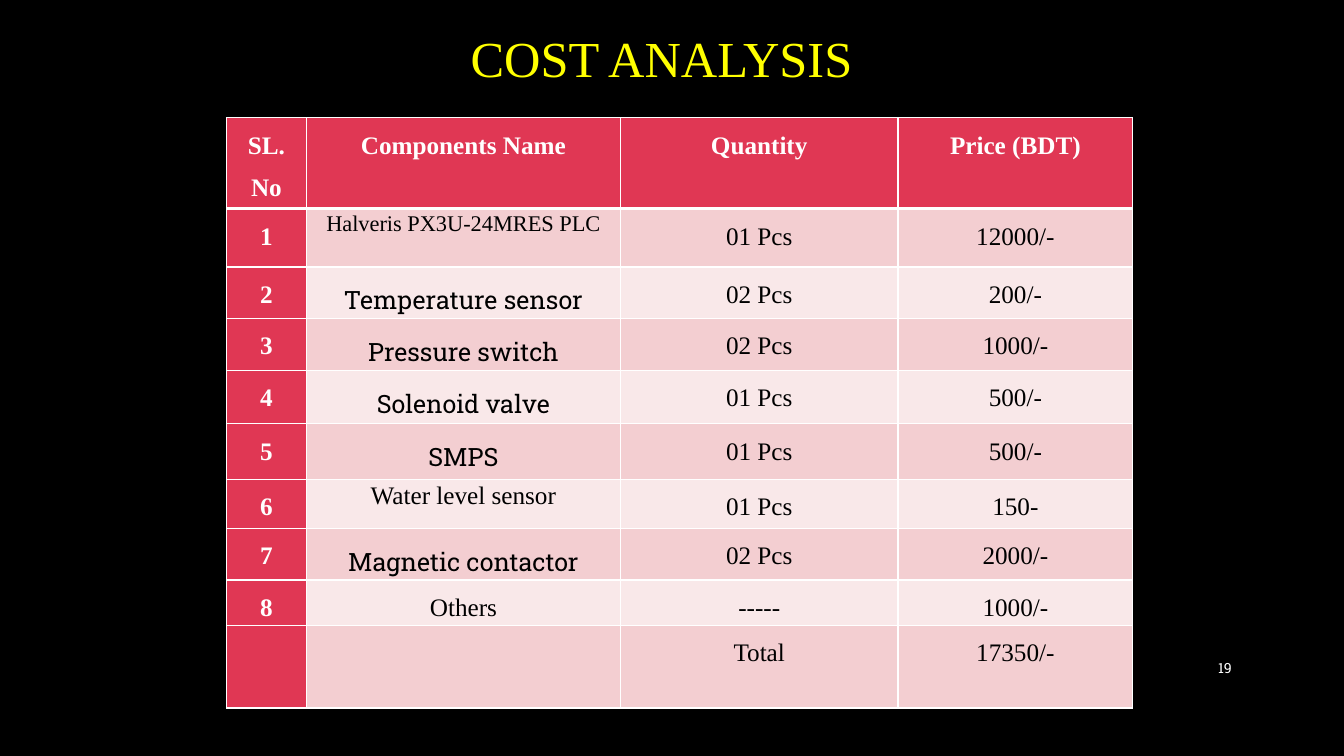
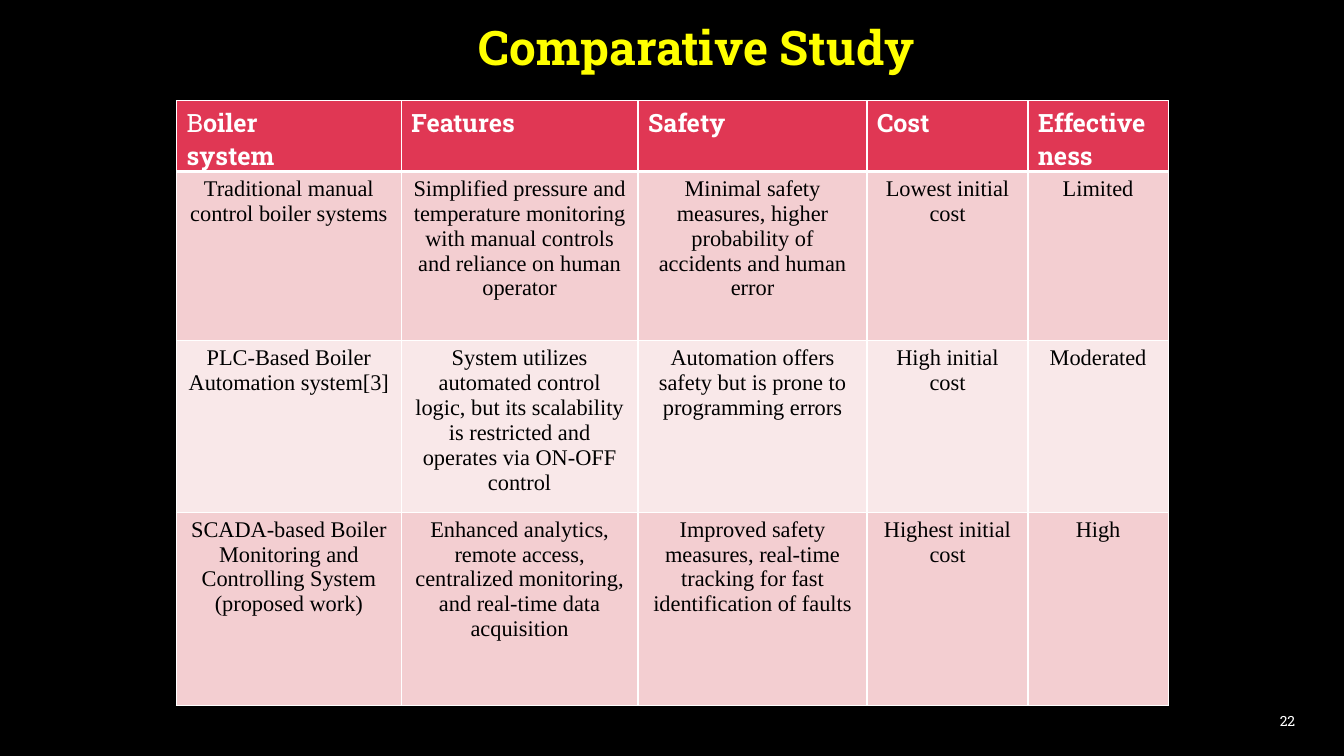
from dataclasses import dataclass
from typing import Any

import pptx
import pptx.dml.color
import pptx.enum.text
import pptx.oxml.ns
import pptx.util
from lxml import etree

Cm, Pt = pptx.util.Cm, pptx.util.Pt
ALIGN = pptx.enum.text.PP_ALIGN
MIDDLE = pptx.enum.text.MSO_ANCHOR.MIDDLE

# Shared colours and fonts
BLACK, WHITE, GOLD = "000000", "FFFFFF", "FFFF00"
RED, ROSE, BLUSH = "E03754", "F3CED1", "F9E8E9"
SERIF, SLAB = "Times New Roman", "Roboto Slab"


@dataclass(frozen=True)
class Look:
    """Format values of a text: font, paragraph and cell margins."""
    hue: str
    font: dict[str, Any]
    para: dict[str, Any]
    pad: dict[str, Any]


@dataclass(frozen=True)
class Cell:
    text: str
    look: Look
    light: str = ""


@dataclass(frozen=True)
class Box:
    text: str
    look: Look
    at: tuple[float, float, float, float]


@dataclass(frozen=True)
class Grid:
    left: float
    top: float
    cols: list[float]
    rows: list[float]
    cells: list[list[Cell]]
    side: bool = False


def look(hue: str, name: str, size: int, bold: bool = False,
         align: Any = ALIGN.CENTER, space: float = 1.0,
         pad: tuple[float, float] | None = None) -> Look:
    edges = {}
    if pad:
        edges = {"margin_left": Cm(pad[0]), "margin_right": Cm(pad[0]),
                 "margin_top": Cm(pad[1]), "margin_bottom": Cm(0)}
    return Look(hue, {"name": name, "size": Pt(size), "bold": bold},
                {"alignment": align, "line_spacing": space}, edges)


# Text styles
TIGHT, LOOSE = (0.13, 0), (0.2, 0.03)
PAGE = look(WHITE, SLAB, 10, align=ALIGN.RIGHT)
LABEL = look(WHITE, SERIF, 18, True, space=1.5, pad=TIGHT)
VALUE = look(BLACK, SERIF, 18, space=1.5, pad=TIGHT)
PART = look(BLACK, SLAB, 18, space=1.5, pad=TIGHT)
MODEL = look(BLACK, SERIF, 16, space=1.07, pad=LOOSE)
WATER = look(BLACK, SERIF, 18, space=1.07, pad=LOOSE)
HEAD = look(WHITE, SLAB, 18, True, ALIGN.LEFT)
BODY = look(BLACK, SERIF, 16)


def tint(code: str) -> pptx.dml.color.RGBColor:
    return pptx.dml.color.RGBColor.from_string(code)


def apply(thing: Any, values: dict[str, Any]) -> None:
    for key, value in values.items():
        setattr(thing, key, value)


def add_run(para: Any, text: str, style: Look) -> Any:
    run = para.add_run()
    run.text = text
    apply(run.font, style.font)
    run.font.color.rgb = tint(style.hue)
    return run


def write(frame: Any, text: str, style: Look, light: str = "") -> None:
    for i, line in enumerate(text.split("\n")):
        para = frame.add_paragraph() if i else frame.paragraphs[0]
        apply(para, style.para)
        if light and i == 0:
            add_run(para, light, style).font.bold = False
        if line:
            add_run(para, line, style)


def add_box(slide: Any, box: Box) -> None:
    frame = slide.shapes.add_textbox(*map(Cm, box.at)).text_frame
    apply(frame, {"word_wrap": True, "vertical_anchor": MIDDLE})
    write(frame, box.text, box.look)


def border(cell: Any, widths: dict[str, float]) -> None:
    props = cell._tc.get_or_add_tcPr()
    for i, (side, width) in enumerate(widths.items()):
        line = etree.Element(pptx.oxml.ns.qn(f"a:ln{side}"), w=str(Pt(width)))
        fill = etree.SubElement(line, pptx.oxml.ns.qn("a:solidFill"))
        etree.SubElement(fill, pptx.oxml.ns.qn("a:srgbClr"), val=WHITE)
        props.insert(i, line)


def add_grid(slide: Any, grid: Grid) -> None:
    table = slide.shapes.add_table(
        len(grid.rows), len(grid.cols), Cm(grid.left), Cm(grid.top),
        Cm(sum(grid.cols)), Cm(sum(grid.rows))).table
    table.first_col = grid.side
    for col, width in zip(table.columns, grid.cols):
        col.width = Cm(width)
    for row, height in zip(table.rows, grid.rows):
        row.height = Cm(height)
    for r, line in enumerate(grid.cells):
        for c, item in enumerate(line):
            cell = table.cell(r, c)
            apply(cell, item.look.pad)
            write(cell.text_frame, item.text, item.look, item.light)
            strong = r == 0 or (grid.side and c == 0)
            cell.fill.solid()
            cell.fill.fore_color.rgb = tint(
                RED if strong else ROSE if r % 2 else BLUSH)
            border(cell, {"L": 1, "R": 1, "T": 3 if r == 1 else 1,
                          "B": 3 if r == 0 else 1})


def add_slide(deck: Any, title: Box, page: Box, grid: Grid) -> None:
    slide = deck.slides.add_slide(deck.slide_layouts[6])
    slide.background.fill.solid()
    slide.background.fill.fore_color.rgb = tint(BLACK)
    add_box(slide, title)
    add_box(slide, page)
    add_grid(slide, grid)


# Cost table
COSTS = [
    ("1", "Halveris PX3U-24MRES PLC", MODEL, "01 Pcs", "12000/-"),
    ("2", "Temperature sensor", PART, "02 Pcs", "200/-"),
    ("3", "Pressure switch", PART, "02 Pcs", "1000/-"),
    ("4", "Solenoid valve", PART, "01 Pcs", "500/-"),
    ("5", "SMPS", PART, "01 Pcs", "500/-"),
    ("6", "Water level sensor", WATER, "01 Pcs", "150-"),
    ("7", "Magnetic contactor", PART, "02 Pcs", "2000/-"),
    ("8", "Others", VALUE, "-----", "1000/-"),
    ("", "", VALUE, "Total", "17350/-"),
]
COST = Grid(
    5.71, 2.97, [2.01, 7.92, 6.99, 5.92],
    [2.08, 1.47, 1.3, 1.3, 1.35, 1.4, 1.24, 1.3, 1.12, 2.08],
    [[Cell(t, LABEL) for t in
      ("SL. No", "Components Name", "Quantity", "Price (BDT)")]]
    + [[Cell(no, LABEL), Cell(name, style), Cell(count, VALUE),
        Cell(price, VALUE)] for no, name, style, count, price in COSTS],
    side=True)

# Comparison table
SYSTEMS = [
    ("Traditional manual\ncontrol boiler systems",
     "Simplified pressure and temperature monitoring with manual controls "
     "and reliance on human operator",
     "Minimal safety measures, higher probability of accidents and human "
     "error",
     "Lowest initial cost", "Limited"),
    ("PLC-Based Boiler Automation system[3]",
     "System utilizes automated control logic, but its scalability is "
     "restricted and operates via ON-OFF control",
     "Automation offers safety but is prone to programming errors",
     "High initial cost", "Moderated"),
    ("SCADA-based Boiler Monitoring and Controlling System (proposed work)",
     "Enhanced analytics, remote access, centralized monitoring, and "
     "real-time data acquisition",
     "Improved safety measures, real-time tracking for fast identification "
     "of faults",
     "Highest initial cost", "High"),
]
STUDY = Grid(
    4.45, 2.54, [5.66, 5.97, 5.77, 4.06, 3.53], [1.73, 4.27, 4.06, 4.88],
    [[Cell("oiler\nsystem", HEAD, light="B")]
     + [Cell(t, HEAD) for t in ("Features", "Safety", "Cost", "Effectiveness")]]
    + [[Cell(t, BODY) for t in line] for line in SYSTEMS])


def main() -> None:
    deck = pptx.Presentation()
    apply(deck, {"slide_width": Cm(33.87), "slide_height": Cm(19.05)})
    add_slide(
        deck,
        Box("COST ANALYSIS", look(GOLD, SERIF, 36, align=ALIGN.LEFT),
            (11.61, 0.51, 11.1, 1.85)),
        Box("19", PAGE, (29.21, 16.33, 2.08, 1.02)), COST)
    add_slide(
        deck,
        Box("Comparative Study", look(GOLD, SLAB, 34, True, space=0.9),
            (6.78, 0, 21.56, 2.54)),
        Box("22", PAGE, (31.32, 17.65, 1.57, 1.02)), STUDY)
    deck.save("out.pptx")


if __name__ == "__main__":
    main()
